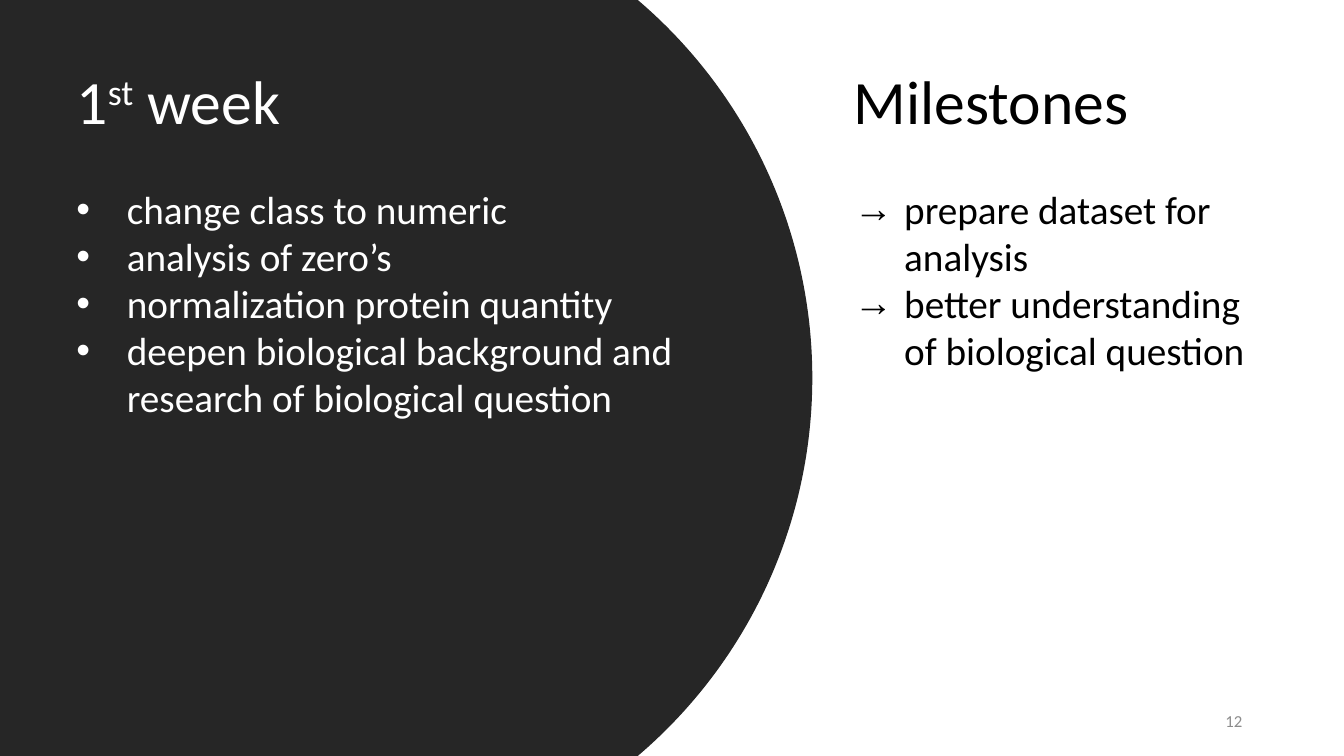
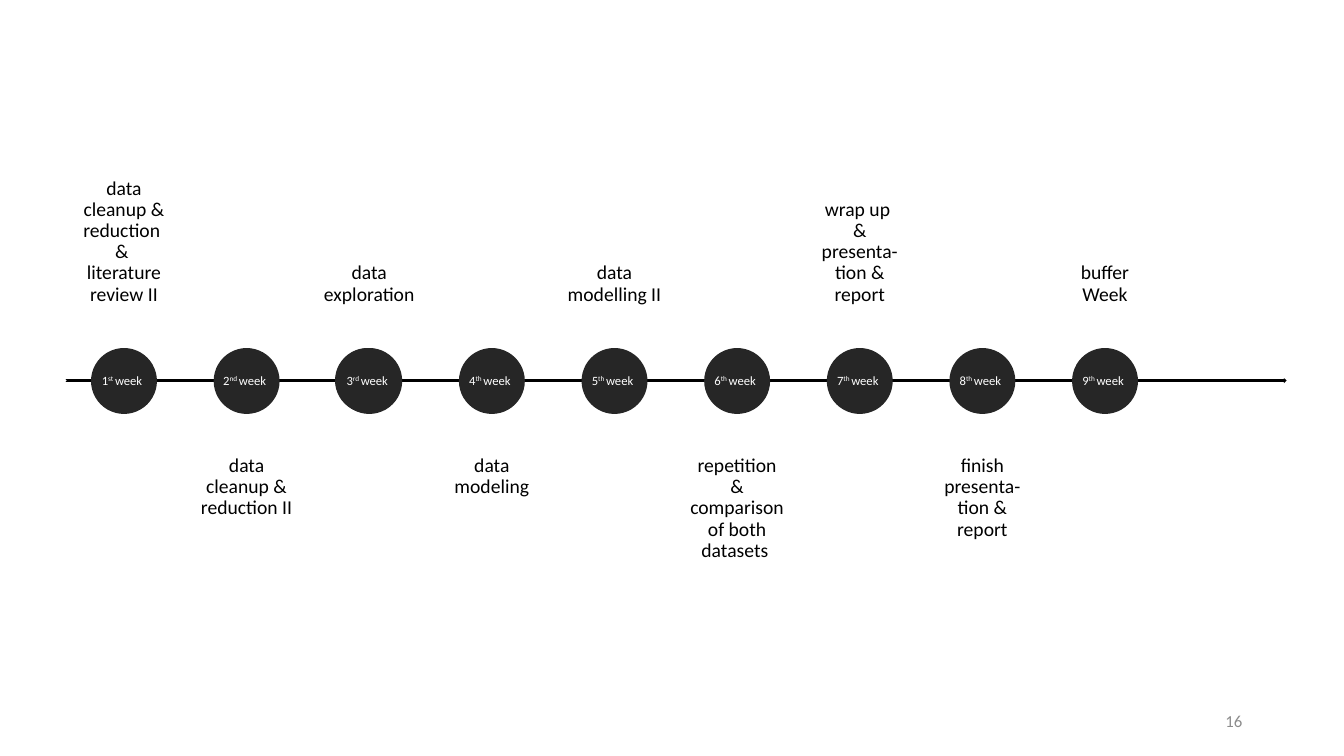
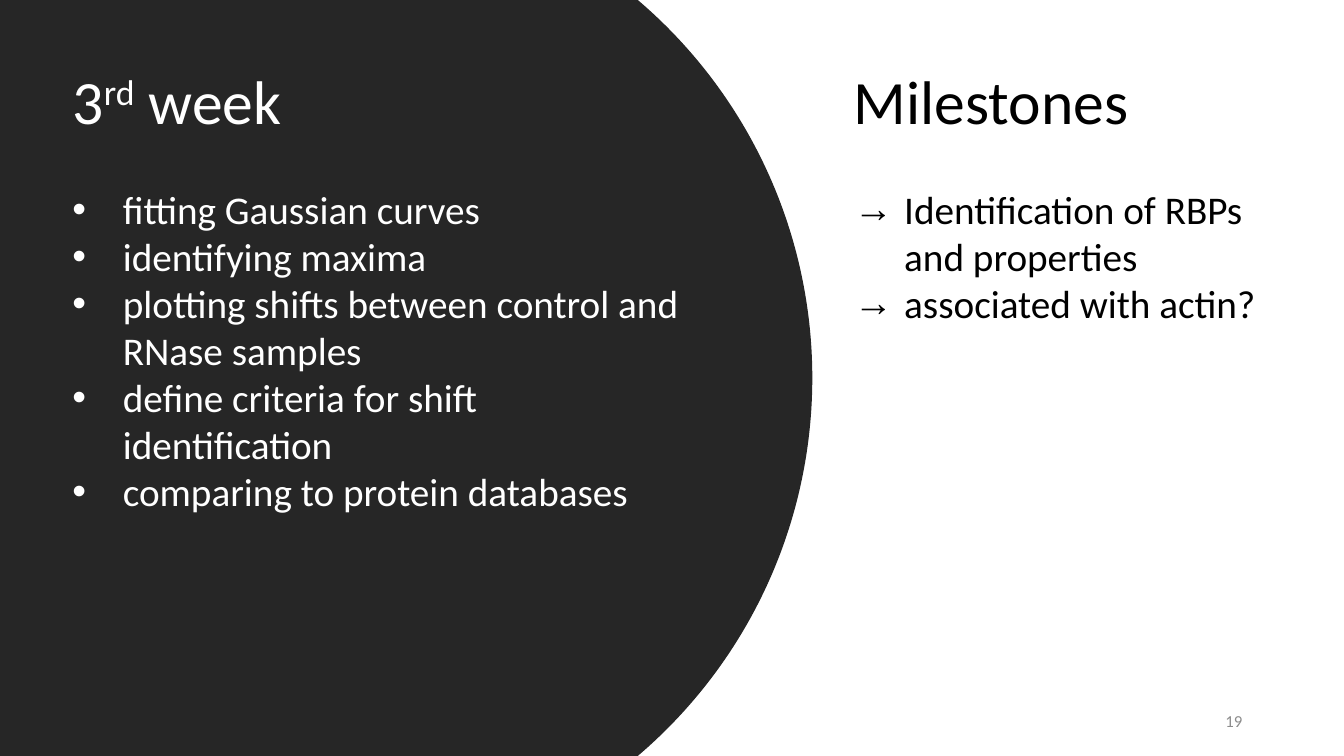
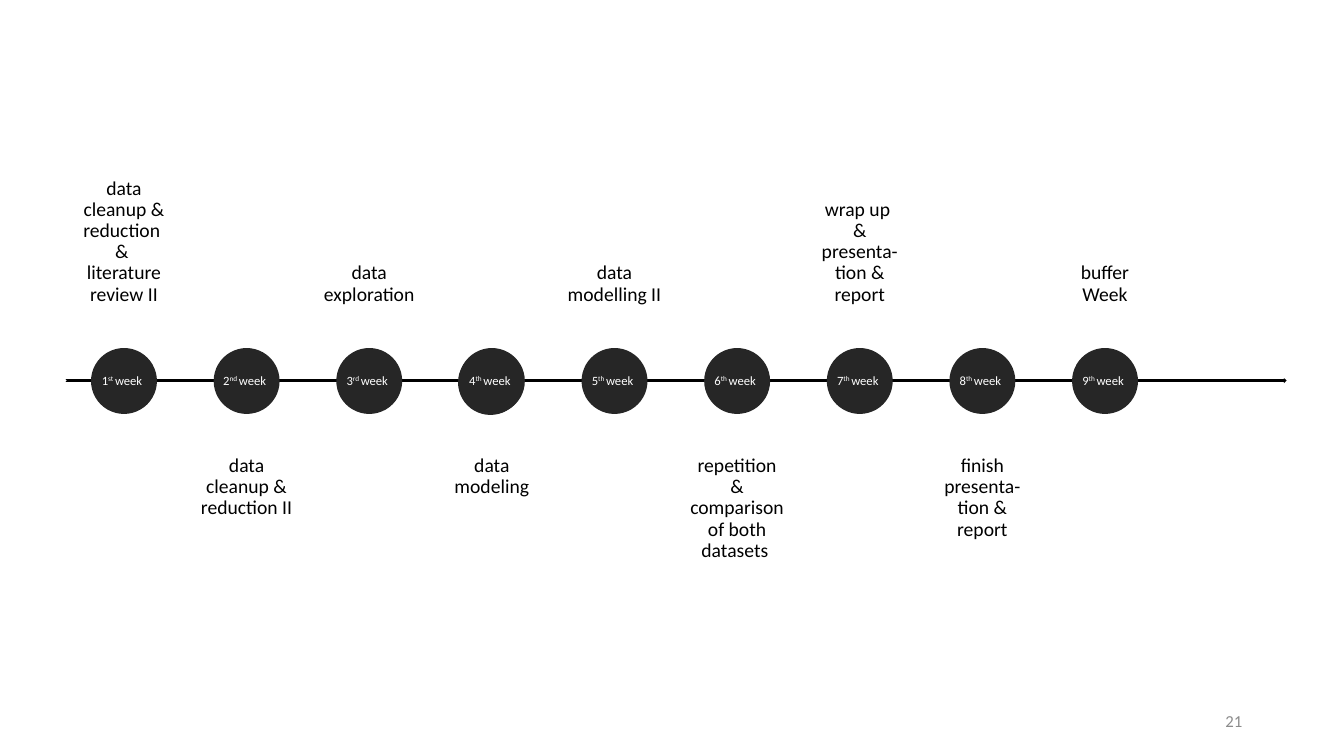
from dataclasses import dataclass

from pptx import Presentation
from pptx.dml.color import RGBColor
from pptx.enum.shapes import MSO_SHAPE
from pptx.enum.text import MSO_ANCHOR, PP_ALIGN
from pptx.oxml.ns import qn
from pptx.util import Inches, Pt
from lxml.etree import SubElement


@dataclass(frozen=True)
class Theme:
    font: str = "Calibri"
    dark: str = "262626"
    black: str = "000000"
    white: str = "FFFFFF"
    gray: str = "8C8C8C"
    head: int = 44
    body: int = 28
    note: int = 14
    page: int = 12
    tiny: int = 9


T = Theme()

# Content: text between carets is superscript
WEEK1 = {
    "page": "12", "left": 0.66, "title": "1^st^ week",
    "tasks": ["change class to numeric", "analysis of zero’s",
              "normalization protein quantity",
              "deepen biological background and research of biological question"],
    "goals": ["prepare dataset for analysis",
              "better understanding of biological question"],
}
WEEK3 = {
    "page": "19", "left": 0.62, "title": "3^rd^ week",
    "tasks": ["fitting Gaussian curves", "identifying maxima",
              "plotting shifts between control and RNase samples",
              "define criteria for shift identification",
              "comparing to protein databases"],
    "goals": ["Identification of RBPs and properties", "associated with actin?"],
}
# Ordinal ending, step, width of the step's text
STEPS = [
    ("st", "data cleanup & reduction  &  literature review II", 1.16),
    ("nd", "data cleanup & reduction II", 1.16),
    ("rd", "data exploration", 1.16),
    ("th", "data modeling", 1.16),
    ("th", "data modelling II", 1.16),
    ("th", "repetition & comparison of both datasets ", 1.16),
    ("th", "wrap up  & presenta-tion & report", 1.07),
    ("th", "finish presenta-tion & report", 1.1),
    ("th", "buffer Week", 1.16),
]
# Page and place of the current week's dot
LINE2 = {"page": "16", "dot": (3.33, 3.46)}
LINE4 = {"page": "21", "dot": (4.55, 3.48)}

# Timeline measures
FIRST, LAST = 1.23, 10.96
GAP = (LAST - FIRST) / (len(STEPS) - 1)
DOT = 0.64


def write(box, text, size, color=T.black, align=PP_ALIGN.LEFT,
          anchor=MSO_ANCHOR.TOP, bullet=None, inset=None, space=1.0):
    """Fill a shape with one line, or a list of lines, in one format."""
    frame = box.text_frame
    frame.word_wrap = True
    frame.vertical_anchor = anchor
    if inset is not None:
        frame.margin_left = frame.margin_right = Inches(inset)
        frame.margin_top = frame.margin_bottom = Inches(inset)
    lines = [text] if isinstance(text, str) else text
    for i, line in enumerate(lines):
        para = frame.add_paragraph() if i else frame.paragraphs[0]
        para.alignment, para.line_spacing = align, space
        para.space_before = Pt(0)
        if bullet:
            props = para._p.get_or_add_pPr()
            props.set("marL", str(Inches(0.5)))
            props.set("indent", str(-Inches(0.5)))
            SubElement(props, qn("a:buFont")).set("typeface", "Arial")
            SubElement(props, qn("a:buChar")).set("char", bullet)
        for j, part in enumerate(line.split("^")):
            run = para.add_run()
            run.text = part
            font = run.font
            font.name, font.size = T.font, Pt(size)
            font.color.rgb = RGBColor.from_string(color)
            if j % 2:
                font._element.set("baseline", "30000")


def label(slide, at, text, size, **style):
    box = slide.shapes.add_textbox(*map(Inches, at))
    write(box, text, size, **style)


def shape(slide, kind, at, fill, line=True):
    item = slide.shapes.add_shape(kind, *map(Inches, at))
    item.shadow.inherit = False
    item.fill.solid()
    item.fill.fore_color.rgb = RGBColor.from_string(fill)
    if line:
        item.line.color.rgb = RGBColor.from_string(fill)
        item.line.width = Pt(1)
    else:
        item.line.fill.background()
    return item


def start(deck, layout, page):
    slide = deck.slides.add_slide(deck.slide_layouts[layout])
    label(slide, (9.42, 6.95, 3, 0.4), page, T.page, color=T.gray,
          align=PP_ALIGN.RIGHT, anchor=MSO_ANCHOR.MIDDLE)
    return slide


def week(deck, data):
    slide = start(deck, 5, data["page"])
    left, wide = data["left"], 6.22
    # Big disc, kept behind the title
    disc = shape(slide, MSO_SHAPE.OVAL, (-1.79, -1.17, 9.84, 9.84), T.dark)
    title = slide.shapes.title
    title._element.addprevious(disc._element)
    title.left, title.top = Inches(left), Inches(0.57)
    title.width, title.height = Inches(wide), Inches(0.85)
    write(title, data["title"], T.head, color=T.white)
    label(slide, (left, 1.79, wide, 3.4), data["tasks"], T.body,
          color=T.white, bullet="•")
    # Milestones
    label(slide, (8.37, 0.57, 4.36, 0.85), "Milestones", T.head)
    label(slide, (8.37, 1.79, 4.36, 2), data["goals"], T.body, bullet="→")


def timeline(deck, data):
    slide = start(deck, 6, data["page"])
    shape(slide, MSO_SHAPE.NOTCHED_RIGHT_ARROW, (0.65, 3.75, 12.11, 0.05),
          T.black, line=False)
    # Dots, with step texts above and below in turn
    for i, (_, text, wide) in enumerate(STEPS):
        mid = FIRST + i * GAP
        top, anchor = (4.41, MSO_ANCHOR.TOP) if i % 2 else (0.6, MSO_ANCHOR.BOTTOM)
        label(slide, (mid - wide / 2, top, wide, 2.54), text, T.note,
              align=PP_ALIGN.CENTER, anchor=anchor, inset=0.11, space=0.9)
        shape(slide, MSO_SHAPE.OVAL, (mid - DOT / 2, 3.46, DOT, DOT), T.dark)
    shape(slide, MSO_SHAPE.OVAL, (*data["dot"], 0.63, 0.63), T.dark)
    # Week names on the dots
    for i, (end, _, _) in enumerate(STEPS):
        label(slide, (FIRST - 0.46 + i * GAP, 3.65, 0.88, 0.25),
              f"{i + 1}^{end} ^week", T.tiny, color=T.white,
              align=PP_ALIGN.CENTER)


def main():
    deck = Presentation()
    deck.slide_width, deck.slide_height = Inches(13.33), Inches(7.5)
    week(deck, WEEK1)
    timeline(deck, LINE2)
    week(deck, WEEK3)
    timeline(deck, LINE4)
    deck.save("out.pptx")


if __name__ == "__main__":
    main()
